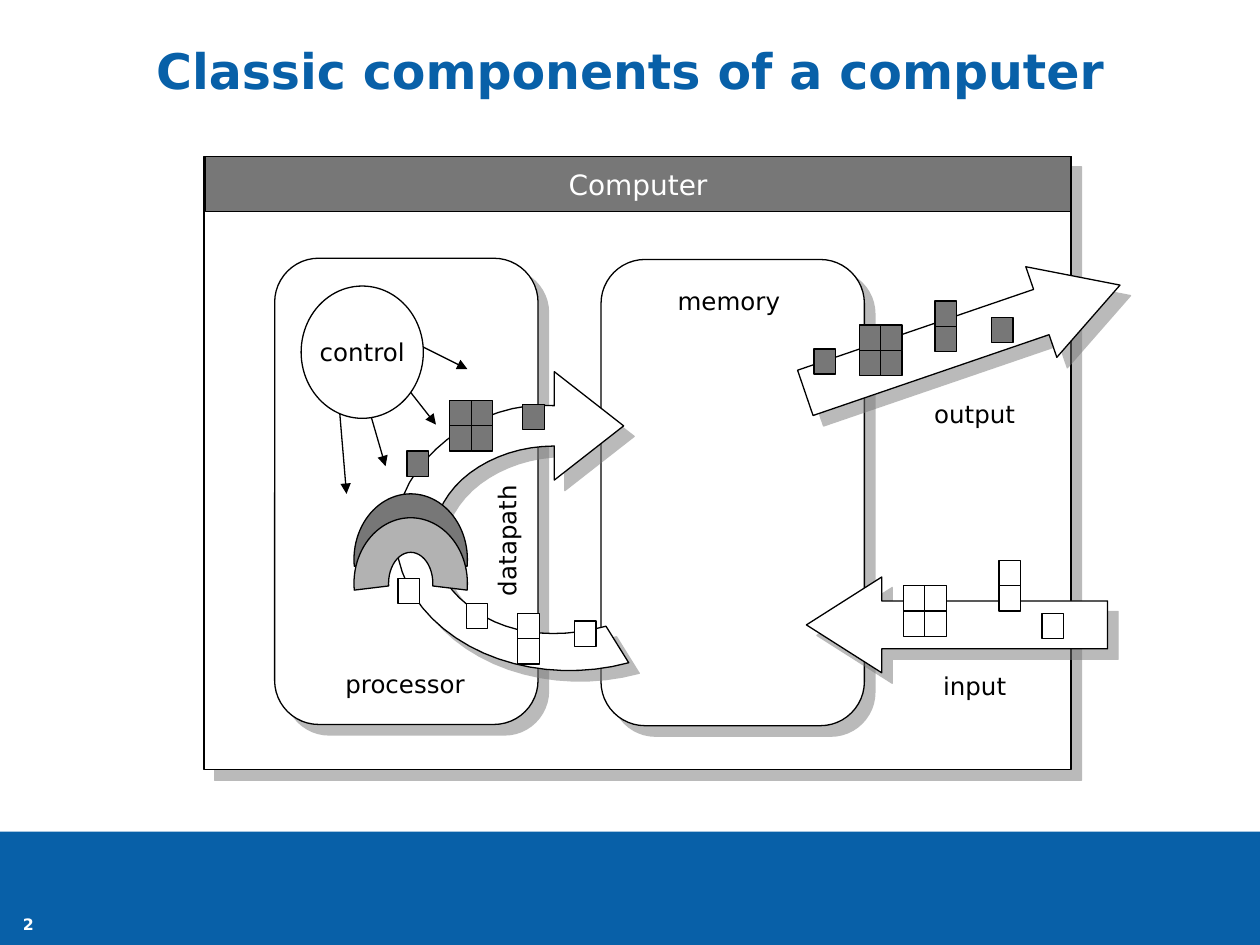
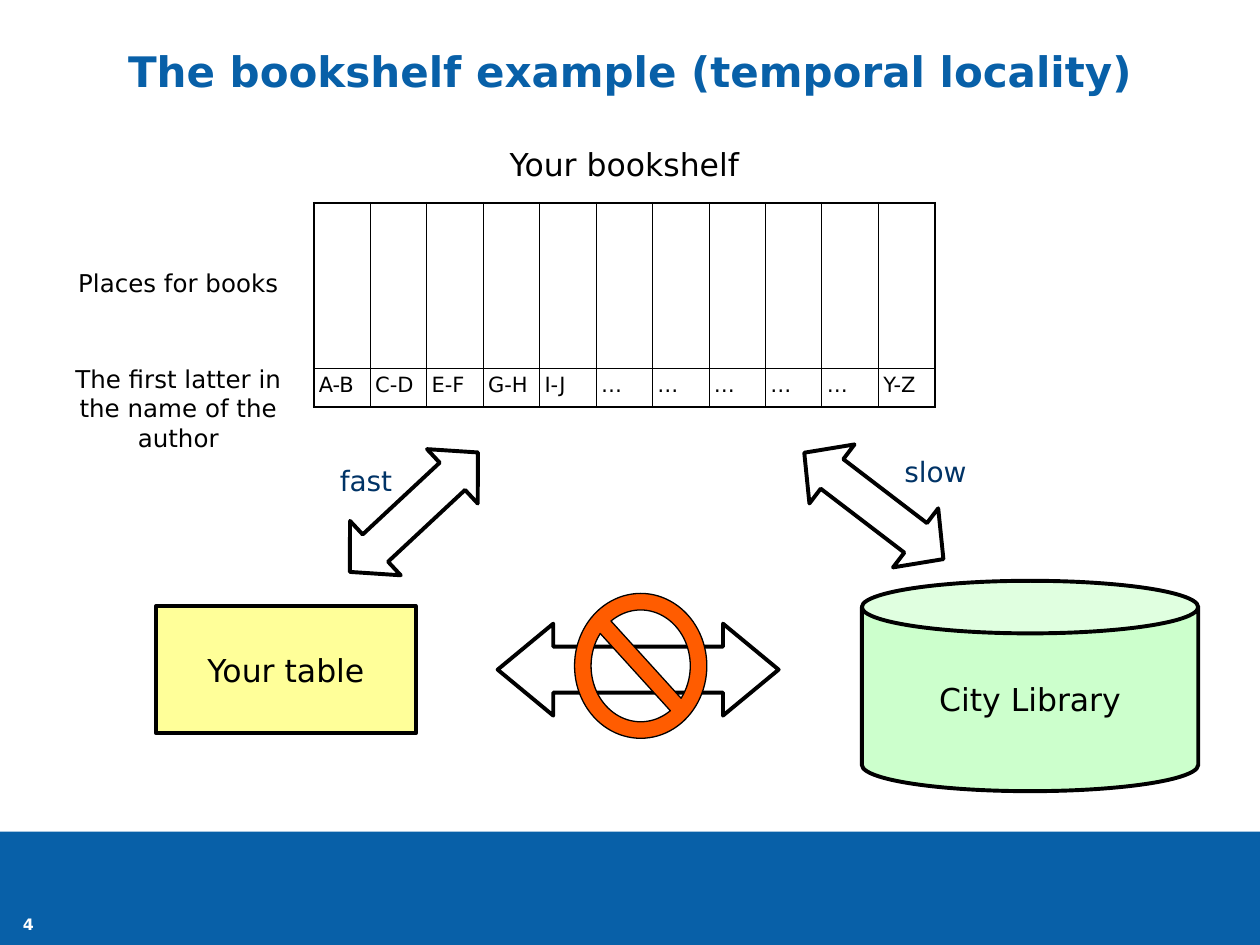
"""Build two lecture slides on computer components and the bookshelf example."""
import lxml.etree
import pptx
import pptx.dml.color
import pptx.enum.shapes
import pptx.enum.text
import pptx.oxml
import pptx.oxml.ns
import pptx.util

Inches, Pt = pptx.util.Inches, pptx.util.Pt
RGB = pptx.dml.color.RGBColor.from_string
SHAPE = pptx.enum.shapes.MSO_SHAPE
ALIGN = pptx.enum.text.PP_ALIGN
MIDDLE = pptx.enum.text.MSO_ANCHOR.MIDDLE
TOP = pptx.enum.text.MSO_ANCHOR.TOP
qn = pptx.oxml.ns.qn

FONT = "DejaVu Sans"
COLORS = {
    "white": "FFFFFF", "black": "000000", "blue": "0860A8", "navy": "003366",
    "gray": "777777", "silver": "B2B2B2", "yellow": "FFFF99",
    "green": "CCFFCC", "orange": "FF5C00",
}


def paint(shape, fill, line=0.75, shadow=False):
    shape.shadow.inherit = False
    shape.fill.solid()
    shape.fill.fore_color.rgb = RGB(COLORS[fill])
    if line:
        shape.line.color.rgb = RGB(COLORS["black"])
        shape.line.width = Pt(line)
    else:
        shape.line.fill.background()
    if shadow:
        effects = shape._element.spPr.find(qn("a:effectLst"))
        outer = lxml.etree.SubElement(
            effects, qn("a:outerShdw"), blurRad="0", dist=str(Pt(8.5)),
            dir="2700000", algn="ctr", rotWithShape="0")
        tint = lxml.etree.SubElement(outer, qn("a:srgbClr"), val=COLORS["gray"])
        lxml.etree.SubElement(tint, qn("a:alpha"), val="50000")
    return shape


def write(frame, text, size, color="black", bold=False, align=ALIGN.CENTER,
          anchor=MIDDLE, wrap=True):
    frame.text = text
    frame.word_wrap = wrap
    frame.vertical_anchor = anchor
    paragraph = frame.paragraphs[0]
    paragraph.alignment = align
    paragraph.font.name = FONT
    paragraph.font.size = Pt(size)
    paragraph.font.bold = bold
    paragraph.font.color.rgb = RGB(COLORS[color])
    return paragraph


deck = pptx.Presentation()
deck.slide_width, deck.slide_height = Inches(10), Inches(7.5)

slides = []
for heading, size, number in [
    ("Classic components of a computer", 28, "2"),
    ("The bookshelf example (temporal locality)", 24, "4"),
]:
    slide = deck.slides.add_slide(deck.slide_layouts[5])
    slides.append(slide)
    title = slide.shapes.title
    title.left, title.top = Inches(0.4), Inches(0.17)
    title.width, title.height = Inches(9.2), Inches(0.83)
    title.text_frame.auto_size = pptx.enum.text.MSO_AUTO_SIZE.NONE
    write(title.text_frame, heading, size, "blue", True).line_spacing = 0.9
    paint(slide.shapes.add_shape(
        SHAPE.RECTANGLE, 0, Inches(6.6), Inches(10), Inches(0.9)), "blue", 0)
    page = slide.shapes.add_textbox(0, Inches(7.17), Inches(0.45), Inches(0.33)).text_frame
    page.margin_left = page.margin_right = page.margin_top = page.margin_bottom = 0
    write(page, number, 9, "white", True)

computer, bookshelf = slides

for preset, box, fill, adjustments, shadow, text, ink in [
    (SHAPE.RECTANGLE, (1.62, 1.24, 6.88, 4.87), "white", (), True, "", ""),
    (SHAPE.RECTANGLE, (1.63, 1.24, 6.87, 0.44), "gray", (), False, "Computer", "white"),
    (SHAPE.ROUNDED_RECTANGLE, (2.18, 2.05, 2.09, 3.7), "white", (0.167,), True, "", ""),
    (SHAPE.ROUNDED_RECTANGLE, (4.77, 2.06, 2.09, 3.7), "white", (0.167,), True, "", ""),
]:
    part = paint(computer.shapes.add_shape(preset, *map(Inches, box)), fill, shadow=shadow)
    for index, value in enumerate(adjustments):
        part.adjustments[index] = value
    if text:
        write(part.text_frame, text, 16, ink, wrap=False)

datapath_outline = [
    [(4.4, 3.54)],
    [(4.02, 3.54), (3.67, 3.72), (3.52, 3.99)],
    [(3.37, 4.27), (3.44, 4.59), (3.71, 4.8)],
    [(3.97, 5.02), (4.37, 5.09), (4.81, 4.97)],
    [(4.99, 5.26)],
    [(4.47, 5.4), (3.9, 5.3), (3.52, 4.99)],
    [(3.14, 4.68), (3.04, 4.22), (3.25, 3.83)],
    [(3.47, 3.44), (3.96, 3.18), (4.4, 3.22)],
    [(4.4, 2.95)],
    [(4.95, 3.38)],
    [(4.4, 3.81)],
]
track = []
for segment in datapath_outline:
    if len(segment) == 1:
        track += segment
        continue
    corners = [track[-1]] + segment
    for step in range(1, 13):
        t = step / 12
        weights = ((1 - t) ** 3, 3 * t * (1 - t) ** 2, 3 * t * t * (1 - t), t ** 3)
        track.append(tuple(sum(w * corner[axis] for w, corner in zip(weights, corners))
                           for axis in (0, 1)))
track = [(Inches(x), Inches(y)) for x, y in track]
datapath = computer.shapes.build_freeform(*track[0])
datapath.add_line_segments(track[1:], close=True)
paint(datapath.convert_to_shape(), "white", shadow=True)

for top, fill in [(3.92, "gray"), (4.11, "silver")]:
    alu = paint(computer.shapes.add_shape(
        SHAPE.BLOCK_ARC, Inches(2.81), Inches(top), Inches(0.9), Inches(1.04)), fill)
    for index, value in enumerate((103.851, 4.149, 0.305)):
        alu.adjustments[index] = value

for box, head, angle in [
    ((6.4, 4.58, 2.39, 0.76), 0.787, 0),
    ((6.32, 2.31, 2.64, 0.76), 0.869, 161.1),
]:
    flow = paint(computer.shapes.add_shape(SHAPE.LEFT_ARROW, *map(Inches, box)),
                 "white", shadow=True)
    flow.adjustments[1] = head
    flow.rotation = angle

data_blocks = {
    "white": [(7.93, 4.45, 1, 2), (7.17, 4.65, 2, 2), (8.27, 4.87, 1, 1),
              (4.56, 4.93, 1, 1), (4.11, 4.87, 1, 2), (3.7, 4.79, 1, 1),
              (3.16, 4.59, 1, 1)],
    "gray": [(3.23, 3.58, 1, 1), (3.57, 3.18, 2, 2), (4.15, 3.21, 1, 1),
             (6.46, 2.77, 1, 1), (6.82, 2.58, 2, 2), (7.42, 2.39, 1, 2),
             (7.87, 2.52, 1, 1)],
}
for fill, blocks in data_blocks.items():
    for left, top, columns, rows in blocks:
        for column in range(columns):
            for row in range(rows):
                paint(computer.shapes.add_shape(
                    SHAPE.RECTANGLE, Inches(left + 0.17 * column), Inches(top + 0.2 * row),
                    Inches(0.17), Inches(0.2)), fill)

for start, end in [
    ((2.9, 3.15), (3.06, 3.7)),
    ((3.17, 3), (3.46, 3.37)),
    ((3.25, 2.7), (3.71, 2.93)),
    ((2.69, 3.2), (2.75, 3.92)),
]:
    signal = computer.shapes.add_connector(
        pptx.enum.shapes.MSO_CONNECTOR.STRAIGHT, *map(Inches, start + end))
    signal.line.color.rgb = RGB(COLORS["black"])
    signal.line.width = Pt(0.75)
    lxml.etree.SubElement(signal.line._get_or_add_ln(), qn("a:tailEnd"), type="triangle")
    lxml.etree.SubElement(signal._element.spPr, qn("a:effectLst"))

control = paint(computer.shapes.add_shape(
    SHAPE.OVAL, Inches(2.39), Inches(2.27), Inches(0.97), Inches(1.05)), "white")
write(control.text_frame, "control", 14, wrap=False)

letters = ["A-B", "C-D", "E-F", "G-H", "I-J"] + ["…"] * 5 + ["Y-Z"]
shelf = bookshelf.shapes.add_table(
    2, len(letters), Inches(2.49), Inches(1.61), Inches(4.93), Inches(1.62)).table
shelf.first_row = shelf.horz_banding = False
shelf.rows[0].height, shelf.rows[1].height = Inches(1.31), Inches(0.31)
last = len(letters) - 1
for column, letter in enumerate(letters):
    shelf.columns[column].width = Inches(4.93 / len(letters))
    for row in range(2):
        place = shelf.cell(row, column)
        place.margin_left = place.margin_right = Inches(0.04)
        if row == 1:
            write(place.text_frame, letter, 12, align=ALIGN.LEFT).line_spacing = 0.95
            place.vertical_anchor = TOP
        properties = place._tc.get_or_add_tcPr()
        for side, outer in [("L", column == 0), ("R", column == last),
                            ("T", row == 0), ("B", row == 1)]:
            border = lxml.etree.SubElement(
                properties, qn(f"a:ln{side}"), w=str(Pt(1.08 if outer else 0.45)))
            solid = lxml.etree.SubElement(border, qn("a:solidFill"))
            lxml.etree.SubElement(solid, qn("a:srgbClr"), val=COLORS["black"])
        place.fill.background()

for preset, box, fill, text in [
    (SHAPE.RECTANGLE, (1.24, 4.81, 2.06, 1.01), "yellow", "Your table"),
    (SHAPE.CAN, (6.84, 4.61, 2.67, 1.67), "green", "City Library"),
]:
    storage = paint(bookshelf.shapes.add_shape(preset, *map(Inches, box)), fill, 2.25)
    write(storage.text_frame, text, 18, wrap=False)

for box, head, angle in [
    ((2.59, 3.77, 1.39, 0.59), 0.47, 317),
    ((6.24, 3.72, 1.39, 0.59), 0.47, 37.4),
    ((3.95, 4.95, 2.23, 0.73), 0.605, 0),
]:
    exchange = paint(bookshelf.shapes.add_shape(
        SHAPE.LEFT_RIGHT_ARROW, *map(Inches, box)), "white", 2.25)
    exchange.adjustments[1] = head
    exchange.rotation = angle

forbidden = paint(bookshelf.shapes.add_shape(
    SHAPE.NO_SYMBOL, Inches(4.56), Inches(4.71), Inches(1.05), Inches(1.15)), "orange")
forbidden.adjustments[0] = 0.125

for slide, text, box, size, color, angle in [
    (computer, "memory", (5.2, 2.22, 1.17, 0.34), 14, "black", 0),
    (computer, "processor", (2.47, 5.26, 1.49, 0.34), 14, "black", 0),
    (computer, "input", (6.99, 5.28, 1.49, 0.34), 14, "black", 0),
    (computer, "output", (6.99, 3.12, 1.49, 0.34), 14, "black", 0),
    (computer, "datapath", (3.42, 4.12, 1.21, 0.34), 14, "black", 270),
    (bookshelf, "The first latter in the name of the author",
     (0.41, 2.84, 2.01, 0.8), 14, "black", 0),
    (bookshelf, "Places for books", (0.41, 2.08, 2.01, 0.34), 14, "black", 0),
    (bookshelf, "fast", (2.39, 3.63, 1.03, 0.37), 16, "navy", 0),
    (bookshelf, "slow", (6.91, 3.56, 1.03, 0.37), 16, "navy", 0),
    (bookshelf, "Your bookshelf", (3.52, 1.1, 2.87, 0.4), 18, "black", 0),
]:
    label = slide.shapes.add_textbox(*map(Inches, box))
    label.rotation = angle
    write(label.text_frame, text, size, color, anchor=TOP)

deck.save("out.pptx")
